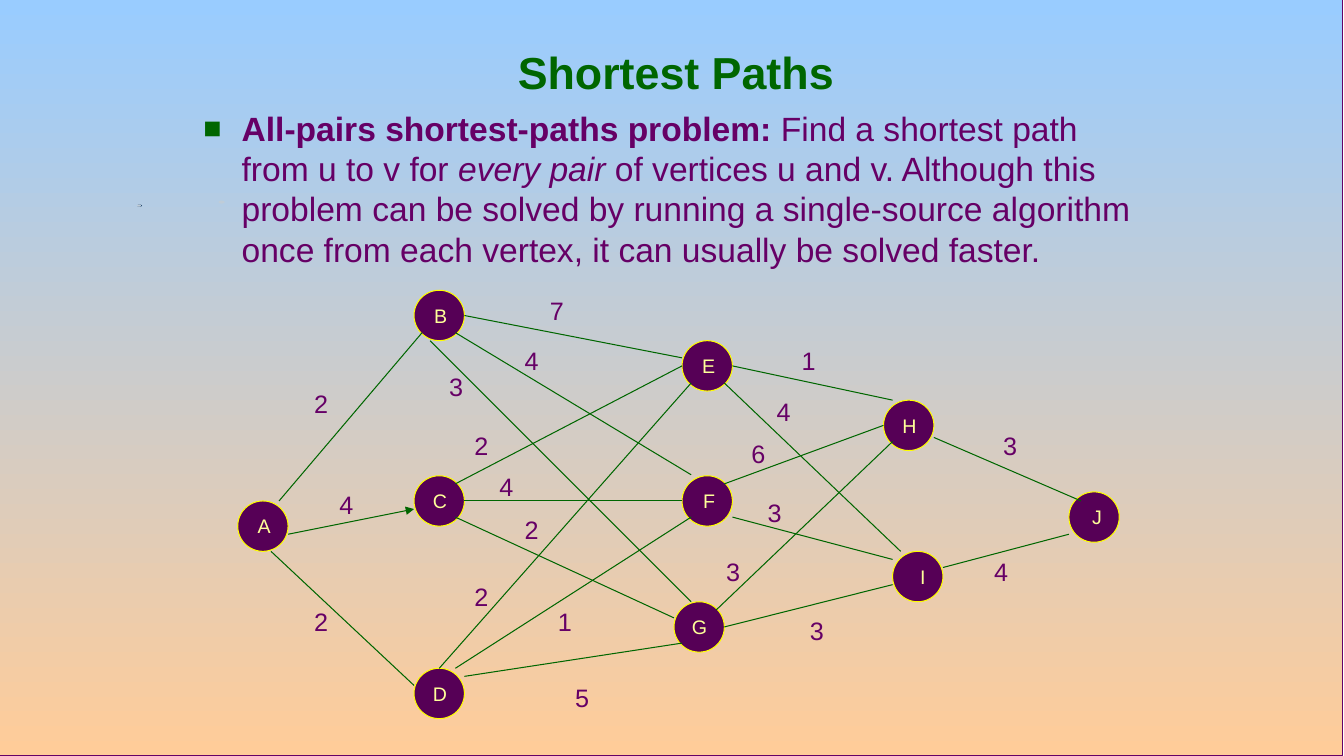
import pptx
import pptx.util
import pptx.dml.color
import pptx.enum.shapes
import pptx.enum.text
import pptx.oxml
import pptx.oxml.ns

RGB = pptx.dml.color.RGBColor
Pt = pptx.util.Pt
SHAPE = pptx.enum.shapes.MSO_SHAPE
ALIGN = pptx.enum.text.PP_ALIGN
ANCHOR = pptx.enum.text.MSO_ANCHOR

# Content; lengths in px, 100 to the inch
TITLE = "Shortest Paths"
BODY = [  # text, bold, italic
    ("All-pairs shortest-paths problem: ", True, False),
    ("Find a shortest path from u to v for ", False, False),
    ("every pair ", False, True),
    ("of vertices u and v. Although this problem can be solved by running a "
     "single-source algorithm once from each vertex, it can usually be solved faster.",
     False, False),
]
VERTICES = {  # left, top
    "A": (236, 497), "B": (411, 288), "C": (411, 472), "D": (411, 663), "E": (677, 338),
    "F": (677, 472), "G": (669, 597), "H": (877, 397), "I": (886, 547), "J": (1061, 488),
}
EDGES = {  # start, end, weight, left and top of its label
    "AB": ((277, 497), (419, 330), 2, (302, 380)),
    "AC": ((286, 530), (411, 505), 4, (327, 480)),
    "AD": ((269, 547), (411, 680), 2, (302, 597)),
    "BE": ((461, 313), (677, 355), 7, (536, 288)),
    "BF": ((452, 330), (686, 471), 4, (511, 338)),
    "BG": ((427, 338), (686, 597), 3, (436, 363)),
    "CE": ((452, 480), (677, 363), 2, (461, 422)),
    "CF": ((461, 497), (677, 497), 4, (486, 463)),
    "CG": ((452, 513), (669, 613), 2, (511, 505)),
    "DE": ((436, 663), (686, 380), 2, (461, 572)),
    "DF": ((452, 663), (686, 513), 1, (544, 597)),
    "DG": ((461, 671), (677, 638), 5, (561, 672)),
    "EH": ((727, 363), (886, 397), 1, (786, 338)),
    "EI": ((719, 380), (894, 547), 4, (761, 388)),
    "FH": ((719, 480), (877, 422), 6, (736, 430)),
    "FI": ((727, 513), (886, 555), 3, (752, 488)),
    "GH": ((711, 605), (886, 438), 3, (711, 547)),
    "GI": ((719, 622), (886, 580), 3, (794, 605)),
    "HJ": ((927, 434), (1073, 497), 3, (986, 422)),
    "IJ": ((936, 563), (1061, 530), 4, (977, 547)),
}
DIRECTED = {"AC"}

FONT = "Arial"
GREEN = RGB(0x00, 0x66, 0x00)
PURPLE = RGB(0x66, 0x00, 0x66)
PLUM = RGB(0x56, 0x00, 0x56)
YELLOW = RGB(0xFF, 0xFF, 0x00)
CREAM = RGB(0xFF, 0xFF, 0x99)
SKY = RGB(0x99, 0xCC, 0xFF)
PEACH = RGB(0xFF, 0xCC, 0x99)
NAVY = RGB(0x28, 0x4C, 0x70)
MIST = RGB(0xBF, 0xCC, 0xD8)
SPECKS = [((136, 203, 5, 2), NAVY), ((136, 203, 4, 2), MIST), ((217, 199, 6, 3), MIST)]
DIAMETER = 50
LABEL_SIZE = (33, 42)
LINE_WIDTH = Pt(0.75)


def px(length):
    return pptx.util.Emu(length * 9144)


def style(para, size, color, bold=False):
    para.font.name = FONT
    para.font.size = Pt(size)
    para.font.color.rgb = color
    para.font.bold = bold


def add_text(left, top, width, height):
    box = page.shapes.add_textbox(px(left), px(top), px(width), px(height))
    box.text_frame.word_wrap = True
    return box.text_frame


def add_plain(preset, left, top, width, height):
    shape = page.shapes.add_shape(preset, px(left), px(top), px(width), px(height))
    shape.shadow.inherit = False
    return shape


def add_xml(parent, tag, **attributes):
    child = pptx.oxml.parse_xml(f'<a:{tag} {pptx.oxml.ns.nsdecls("a")}/>')
    for name, value in attributes.items():
        child.set(name, value)
    parent.append(child)
    return child


deck = pptx.Presentation()
deck.slide_width, deck.slide_height = px(1334), px(750)
page = deck.slides.add_slide(deck.slide_layouts[6])

# Backdrop with its small specks
backdrop = add_plain(SHAPE.RECTANGLE, 0, 0, 1333, 750)
backdrop.fill.gradient()
backdrop.fill.gradient_angle = 270
for stop, position, color in zip(backdrop.fill.gradient_stops, (0, 1), (SKY, PEACH)):
    stop.position = position
    stop.color.rgb = color
backdrop.line.color.rgb = PURPLE
backdrop.line.width = LINE_WIDTH
for place, color in SPECKS:
    speck = add_plain(SHAPE.OVAL, *place)
    speck.fill.solid()
    speck.fill.fore_color.rgb = color
    speck.line.fill.background()

# Title
title = add_text(246, 46, 850, 51)
title.vertical_anchor = ANCHOR.MIDDLE
para = title.paragraphs[0]
para.text = TITLE
para.alignment = ALIGN.CENTER
style(para, 32, GREEN, bold=True)

# Bulleted definition
para = add_text(192, 102, 949, 240).paragraphs[0]
style(para, 24, PURPLE)
para.space_before = Pt(6)
para.line_spacing = Pt(28.8)
for text, bold, italic in BODY:
    span = para.add_run()
    span.text = text
    span.font.bold = bold
    span.font.italic = italic
properties = para._p.get_or_add_pPr()
properties.set("marL", str(px(38)))
properties.set("indent", str(-px(38)))
bullet_color = pptx.oxml.parse_xml(f'<a:buClr {pptx.oxml.ns.nsdecls("a")}/>')
add_xml(bullet_color, "srgbClr", val=str(GREEN))
run_defaults = properties.find(pptx.oxml.ns.qn("a:defRPr"))
run_defaults.addprevious(bullet_color)
for tag, name, value in (("buSzPct", "val", "90000"), ("buFont", "typeface", FONT),
                         ("buChar", "char", "■")):
    run_defaults.addprevious(add_xml(properties, tag, **{name: value}))

# Vertices
for name, (left, top) in VERTICES.items():
    vertex = add_plain(SHAPE.OVAL, left, top, DIAMETER, DIAMETER)
    vertex.fill.solid()
    vertex.fill.fore_color.rgb = PLUM
    vertex.line.color.rgb = YELLOW
    vertex.line.width = LINE_WIDTH
    frame = vertex.text_frame
    frame.margin_left, frame.margin_right = 0, px(10)
    frame.vertical_anchor = ANCHOR.MIDDLE
    para = frame.paragraphs[0]
    para.text = name
    para.alignment = ALIGN.RIGHT
    style(para, 14, CREAM)

# Edges and their weights
for name, (start, end, weight, corner) in EDGES.items():
    edge = page.shapes.add_connector(pptx.enum.shapes.MSO_CONNECTOR.STRAIGHT,
                                     *map(px, start + end))
    edge.line.color.rgb = GREEN
    edge.line.width = LINE_WIDTH
    if name in DIRECTED:
        add_xml(edge.line._get_or_add_ln(), "tailEnd", type="triangle")
    add_xml(edge._element.spPr, "effectLst")
    para = add_text(*corner, *LABEL_SIZE).paragraphs[0]
    para.text = str(weight)
    style(para, 18, PURPLE)

deck.save("out.pptx")
